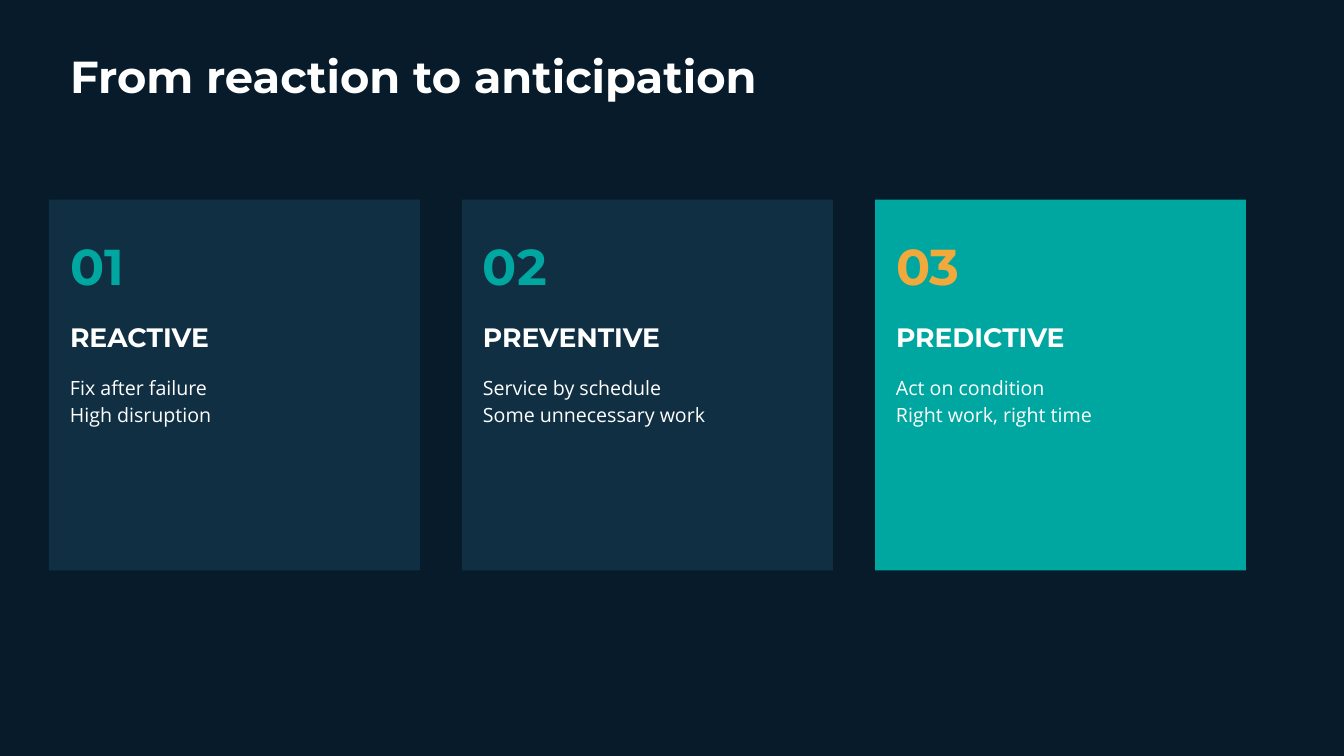
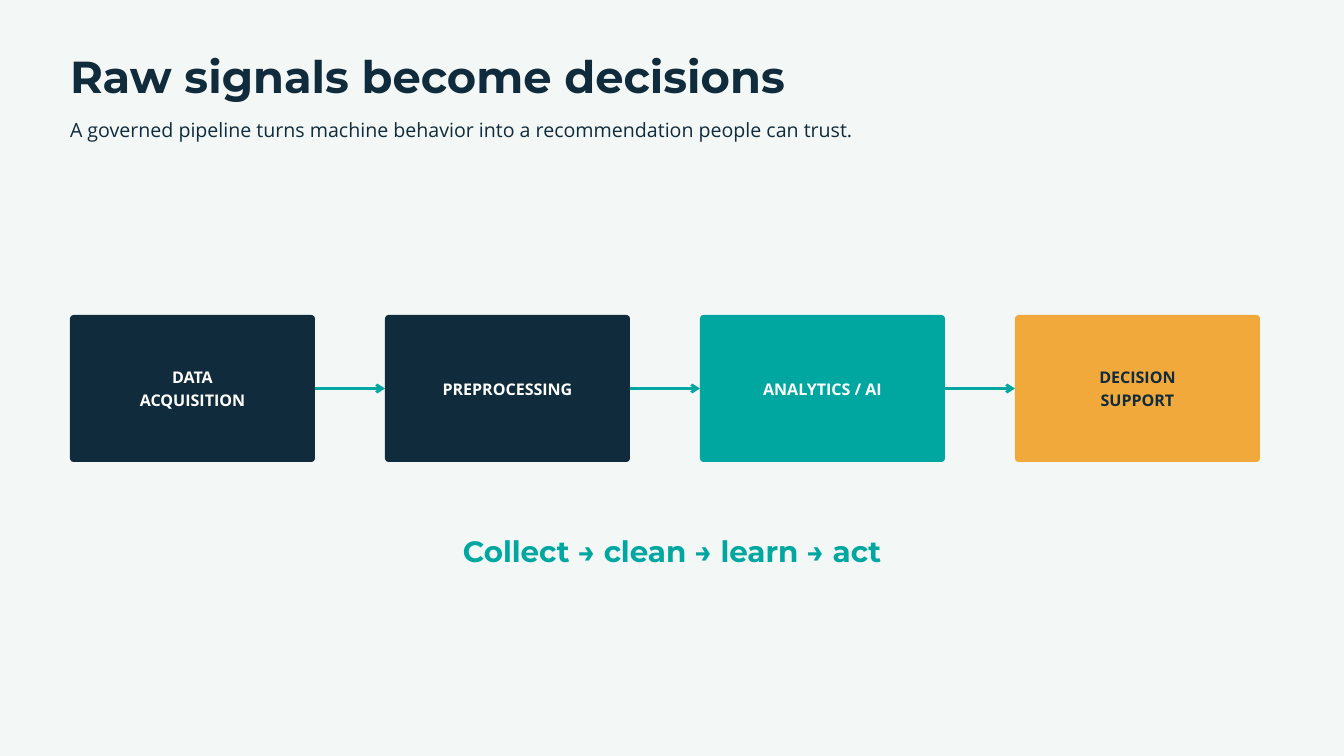
from lxml import etree
from pptx import Presentation
from pptx.dml.color import RGBColor
from pptx.enum.shapes import MSO_CONNECTOR, MSO_SHAPE
from pptx.enum.text import MSO_ANCHOR, MSO_AUTO_SIZE, PP_ALIGN
from pptx.oxml.ns import qn
from pptx.util import Inches, Pt

# Shared style
NIGHT, NAVY, PANEL = "071B2B", "102B3B", "102F43"
TEAL, AMBER, MIST, WHITE = "00A7A0", "F2A93B", "F3F7F6", "FFFFFF"
HEAD, BODY = "Montserrat", "Open Sans"
COLS, ROWS = 192, 108
MARGIN = 10


def rgb(value):
    return RGBColor.from_string(value)


def write(tf, text, font=BODY, size=21, color=WHITE, bold=False,
          leading=28.4, align=PP_ALIGN.LEFT, anchor=MSO_ANCHOR.TOP,
          insets=(0, 0, 0, 0), fit=MSO_AUTO_SIZE.SHAPE_TO_FIT_TEXT):
    """Fill a text frame, one paragraph per line of text."""
    tf.word_wrap = True
    tf.auto_size = fit
    tf.vertical_anchor = anchor
    (tf.margin_left, tf.margin_top,
     tf.margin_right, tf.margin_bottom) = map(Inches, insets)
    for i, line in enumerate(text.split("\n")):
        p = tf.paragraphs[0] if i == 0 else tf.add_paragraph()
        p.alignment = align
        p.line_spacing = Pt(leading)
        p.space_before = Pt(0)
        r = p.add_run()
        r.text = line
        r.font.name, r.font.size, r.font.bold = font, Pt(size), bold
        r.font.color.rgb = rgb(color)


class Deck:
    """Holds the grid, the style and the current slide."""

    def __init__(self):
        self.prs = Presentation()
        self.prs.slide_width = Inches(20)
        self.prs.slide_height = Inches(11.25)
        self.s = None

    def place(self, x, y, w, h):
        col = self.prs.slide_width / COLS
        row = self.prs.slide_height / ROWS
        return round(x * col), round(y * row), round(w * col), round(h * row)

    def slide(self, title, background, color):
        layout = self.prs.slide_layouts.get_by_name("Title Only")
        self.s = self.prs.slides.add_slide(layout)
        fill = self.s.background.fill
        fill.solid()
        fill.fore_color.rgb = rgb(background)
        sp = self.s.shapes.title
        sp.left, sp.top, sp.width, sp.height = self.place(MARGIN, 7.7, 150, 7)
        write(sp.text_frame, title, font=HEAD, size=48, color=color,
              bold=True, leading=51.8)

    def text(self, x, y, w, h, text, **fmt):
        sp = self.s.shapes.add_textbox(*self.place(x, y, w, h))
        write(sp.text_frame, text, **fmt)

    def block(self, x, y, w, h, color, kind=MSO_SHAPE.RECTANGLE):
        sp = self.s.shapes.add_shape(kind, *self.place(x, y, w, h))
        sp.shadow.inherit = False
        sp.fill.solid()
        sp.fill.fore_color.rgb = rgb(color)
        sp.line.fill.background()
        return sp

    def card(self, x, number, name, detail, fill, accent):
        self.block(x, 28.5, 53, 53, fill)
        x += 3
        self.text(x, 32.2, 12, 9.4, number, font=HEAD, size=54, color=accent,
                  bold=True, leading=75.6)
        self.text(x, 45.1, 49, 4.9, name, font=HEAD, size=28.5, bold=True,
                  leading=39.9)
        self.text(x, 53.3, 45, 7.2, detail)

    def step(self, x, label, fill, color):
        sp = self.block(x, 45, 35, 21, fill, MSO_SHAPE.ROUNDED_RECTANGLE)
        sp.adjustments[0] = 0.025
        write(sp.text_frame, label, size=17.2, color=color, bold=True,
              leading=24.1, align=PP_ALIGN.CENTER, anchor=MSO_ANCHOR.MIDDLE,
              insets=(0.06, 0.06, 0.06, 0.1), fit=MSO_AUTO_SIZE.NONE)
        return sp

    def arrow(self, start, end):
        line = self.s.shapes.add_connector(MSO_CONNECTOR.STRAIGHT, 0, 0, 0, 0)
        line.begin_connect(start, 3)
        line.end_connect(end, 1)
        line.line.color.rgb = rgb(TEAL)
        line.line.width = Pt(3)
        sp_pr = line.line._get_or_add_ln().getparent()
        tip = etree.SubElement(sp_pr.find(qn("a:ln")), qn("a:tailEnd"))
        tip.set("type", "arrow")
        etree.SubElement(sp_pr, qn("a:effectLst"))


def maintenance_stages(deck):
    deck.slide("From reaction to anticipation", NIGHT, WHITE)
    cards = [
        ("REACTIVE", "Fix after failure\nHigh disruption", PANEL, TEAL),
        ("PREVENTIVE", "Service by schedule\nSome unnecessary work",
         PANEL, TEAL),
        ("PREDICTIVE", "Act on condition\nRight work, right time",
         TEAL, AMBER),
    ]
    for i, card in enumerate(cards):
        deck.card(7 + 59 * i, f"{i + 1:02}", *card)


def signal_pipeline(deck):
    deck.slide("Raw signals become decisions", MIST, NAVY)
    deck.text(MARGIN, 16.4, 145, 3.6, "A governed pipeline turns machine "
              "behavior into a recommendation people can trust.", color=NAVY)

    # Steps and the arrows between them
    steps = [
        ("DATA\nACQUISITION", NAVY, WHITE),
        ("PREPROCESSING", NAVY, WHITE),
        ("ANALYTICS / AI", TEAL, WHITE),
        ("DECISION\nSUPPORT", AMBER, NAVY),
    ]
    boxes = [deck.step(MARGIN + 45 * i, *step)
             for i, step in enumerate(steps)]
    for start, end in zip(boxes, boxes[1:]):
        deck.arrow(start, end)

    # Summary line
    deck.text(35, 75.3, 122, 5.7, "Collect → clean → learn → act", font=HEAD,
              size=31.5, color=TEAL, bold=True, leading=44.1,
              align=PP_ALIGN.CENTER)


def main():
    deck = Deck()
    maintenance_stages(deck)
    signal_pipeline(deck)
    deck.prs.save("out.pptx")


if __name__ == "__main__":
    main()
